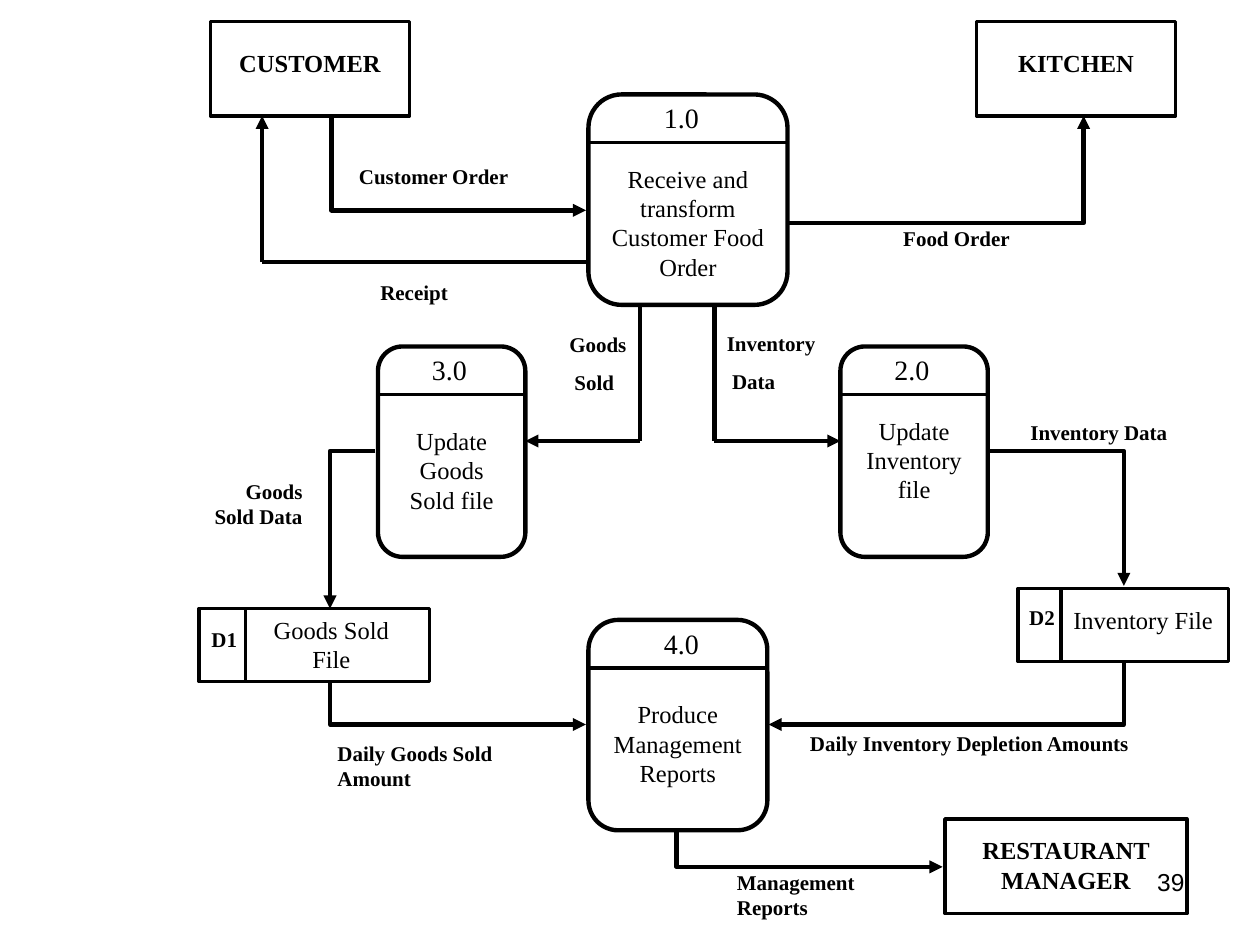
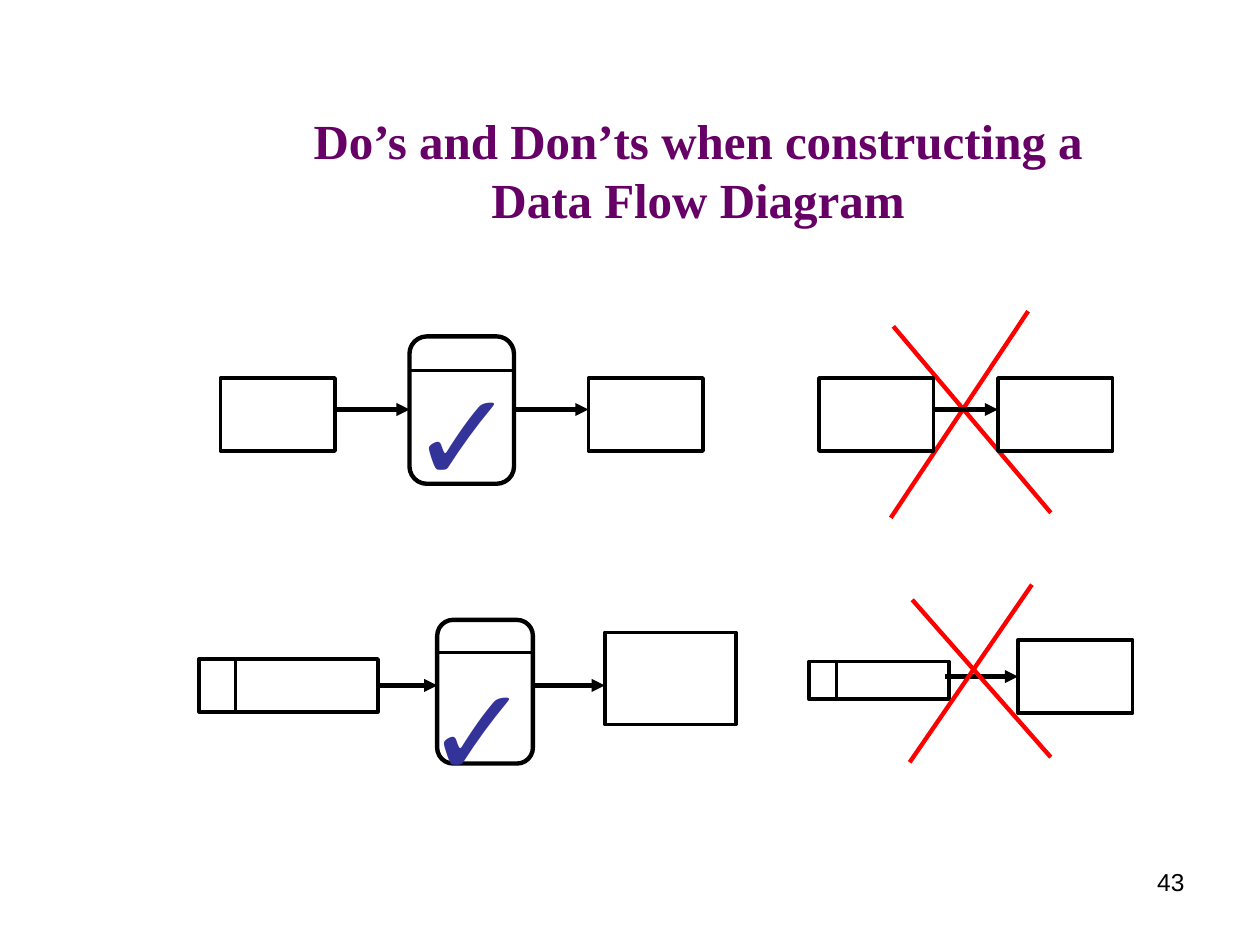
from lxml import etree
from pptx import Presentation
from pptx import util as u
from pptx.dml.color import RGBColor
from pptx.enum import shapes, text
from pptx.oxml.ns import qn

BLACK = RGBColor(0x00, 0x00, 0x00)
WHITE = RGBColor(0xFF, 0xFF, 0xFF)
RED = RGBColor(0xFF, 0x00, 0x00)
PURPLE = RGBColor(0x66, 0x00, 0x66)
INDIGO = RGBColor(0x33, 0x33, 0x99)

SERIF, SANS = "Times New Roman", "Arial"
THIN, THICK = 2, 2.5
LEFT, CENTER, RIGHT = text.PP_ALIGN.LEFT, text.PP_ALIGN.CENTER, text.PP_ALIGN.RIGHT
KIND = shapes.MSO_SHAPE


def cm(inches):
    return u.Cm(inches * 2.54)


class Diagram:
    """Draws data flow elements on the current slide; places are in inches."""

    def __init__(self):
        self.deck = Presentation()
        self.deck.slide_width, self.deck.slide_height = cm(10), cm(7.5)
        self.page = None

    def new_page(self, number):
        self.page = self.deck.slides.add_slide(self.deck.slide_layouts[6])
        self.number = number

    def finish_page(self):
        self.caption(7.17, 6.83, 2.33, 0.52, self.number, 14, align=RIGHT,
                     font=SANS, before=0, grow=False)

    # Text
    def caption(self, left, top, width, height, lines, size, bold=False, align=LEFT,
                font=SERIF, color=BLACK, before=None, grow=True, anchor=text.MSO_ANCHOR.TOP):
        box = self.page.shapes.add_textbox(cm(left), cm(top), cm(width), cm(height))
        frame = box.text_frame
        frame.word_wrap = True
        frame.vertical_anchor = anchor
        frame.auto_size = (text.MSO_AUTO_SIZE.SHAPE_TO_FIT_TEXT if grow
                           else text.MSO_AUTO_SIZE.NONE)
        for index, line in enumerate(lines.split("\n")):
            para = frame.add_paragraph() if index else frame.paragraphs[0]
            para.alignment = align
            para.space_before = u.Pt(size * 0.625 if before is None else before)
            span = para.add_run()
            span.text = line
            span.font.name, span.font.size = font, u.Pt(size)
            span.font.bold, span.font.color.rgb = bold, color

    def label(self, left, top, width, lines, height=0.3, align=LEFT):
        self.caption(left, top, width, height, lines, 12, bold=True, align=align)

    def title(self, line):
        self.caption(2, 0.83, 7.08, 1.04, line, 28, bold=True, align=CENTER, color=PURPLE)

    def check(self, left, top, width):
        self.caption(left, top, width, 1.3, "✓", 72, font=SANS, color=INDIGO,
                     before=0, anchor=text.MSO_ANCHOR.MIDDLE)

    # Outlined shapes
    def outline(self, kind, left, top, width, height, weight=THIN):
        shape = self.page.shapes.add_shape(kind, cm(left), cm(top), cm(width), cm(height))
        shape.shadow.inherit = False
        shape.fill.solid()
        shape.fill.fore_color.rgb = WHITE
        shape.line.color.rgb = BLACK
        shape.line.width = u.Pt(weight)

    def entity(self, left, top, width=0.91, height=0.58):
        self.outline(KIND.RECTANGLE, left, top, width, height)

    def named_entity(self, left, top, width, name, inset_x, inset_y, name_height):
        self.entity(left, top, width, 0.75)
        self.caption(left + inset_x, top + inset_y, width - 2 * inset_x, name_height,
                     name, 14, bold=True, align=CENTER)

    def process(self, left, top, width, height, header):
        self.outline(KIND.FLOWCHART_ALTERNATE_PROCESS, left, top, width, height, THICK)
        self.line((left, top + header), (left + width, top + header), weight=THIN)

    def named_process(self, left, top, width, number, number_x, name,
                      name_y, name_inset=0.08, name_height=0.8):
        self.process(left, top, width, 1.67, 0.38)
        self.caption(left + number_x, top, 0.58, 0.37, number, 16)
        self.caption(left + name_inset, top + name_y, width - 2 * name_inset, name_height,
                     name, 14, align=CENTER)

    def store(self, left, top, width, height, divider):
        self.outline(KIND.FLOWCHART_PROCESS, left, top, width, height)
        self.line((left + divider, top), (left + divider, top + height), weight=THIN)

    # Lines and arrows
    def line(self, start, end, weight=THICK, color=BLACK, arrow=False,
             kind=shapes.MSO_CONNECTOR.STRAIGHT):
        link = self.page.shapes.add_connector(kind, *map(cm, (*start, *end)))
        link.line.color.rgb = color
        link.line.width = u.Pt(weight)
        properties = link._element.spPr
        if arrow:
            etree.SubElement(properties.find(qn("a:ln")), qn("a:tailEnd"), type="triangle")
        etree.SubElement(properties, qn("a:effectLst"))
        return link

    def arrow(self, start, end):
        self.line(start, end, arrow=True)

    def corner(self, start, end, down_first=False):
        """Arrow with one right angle, sideways first unless down_first."""
        (x1, y1), (x2, y2) = start, end
        if down_first:
            # The frame is turned a quarter about its centre
            wide, high = y2 - y1, abs(x2 - x1)
            left, top = (x1 + x2 - wide) / 2, (y1 + y2 - high) / 2
            start, end = (left, top), (left + wide, top + high)
        link = self.line(start, end, arrow=True, kind=shapes.MSO_CONNECTOR.ELBOW)
        properties = link._element.spPr
        properties.find(qn("a:prstGeom")).set("prst", "bentConnector2")
        if down_first:
            frame = properties.find(qn("a:xfrm"))
            frame.set("rot", "16200000" if x2 > x1 else "5400000")
            if x2 > x1:
                frame.set("flipH", "1")

    def cross(self, falling, rising):
        for ends in (falling, rising):
            self.line(*ends, color=RED)


def restaurant_page(diagram):
    diagram.new_page("39")

    # Processes
    diagram.named_process(4.67, 0.75, 1.58, "1.0", 0.5,
                          "Receive and transform Customer Food Order", 0.5, 0, 1.04)
    diagram.named_process(6.67, 2.75, 1.17, "2.0", 0.33, "Update Inventory file", 0.5)
    diagram.named_process(3, 2.75, 1.17, "3.0", 0.33, "Update Goods Sold file", 0.58)
    diagram.named_process(4.67, 4.92, 1.42, "4.0", 0.5, "Produce Management Reports", 0.58)

    # External entities
    diagram.named_entity(7.5, 6.5, 1.92, "RESTAURANT MANAGER", 0.13, 0.08, 0.57)
    diagram.named_entity(1.67, 0.17, 1.58, "CUSTOMER", 0.08, 0.16, 0.34)
    diagram.named_entity(7.75, 0.17, 1.58, "KITCHEN", 0.08, 0.16, 0.34)

    # Data stores
    diagram.store(1.58, 4.83, 1.83, 0.58, 0.37)
    diagram.caption(1.92, 4.83, 1.42, 0.57, "Goods Sold File", 14, align=CENTER)
    diagram.label(1.58, 4.92, 0.43, "D1")
    diagram.store(8.08, 4.67, 1.67, 0.58, 0.34)
    diagram.label(8.07, 4.75, 0.43, "D2")
    diagram.caption(8.42, 4.75, 1.33, 0.34, "Inventory File", 14)

    # Flows with one turn
    diagram.corner((6.25, 1.77), (8.6, 0.92))
    diagram.corner((2.98, 3.58), (2.62, 4.83))
    diagram.corner((7.85, 3.58), (8.92, 4.65))
    for start, end in (((2.63, 0.93), (4.65, 1.67)), ((5.37, 6.6), (7.48, 6.88)),
                       ((2.62, 5.4), (4.65, 5.75)), ((8.92, 5.26), (6.1, 5.75))):
        diagram.corner(start, end, down_first=True)

    # Flows drawn as two straight legs
    for start, turn, end in (((4.67, 2.08), (2.08, 2.08), (2.08, 0.92)),
                             ((5.08, 2.42), (5.08, 3.5), (4.17, 3.5)),
                             ((5.67, 2.42), (5.67, 3.5), (6.67, 3.5))):
        diagram.line(start, turn)
        diagram.arrow(turn, end)

    # Flow names
    diagram.label(7.07, 1.74, 1.25, "Food Order")
    diagram.label(2.75, 1.25, 1.58, "Customer Order")
    diagram.label(2.92, 2.17, 0.92, "Receipt")
    diagram.label(5.75, 6.85, 1.25, "Management Reports", 0.5)
    diagram.label(4.42, 2.58, 0.83, "Goods\n Sold", 0.61)
    diagram.label(5.67, 2.57, 1.08, "Inventory\n Data", 0.61)
    diagram.label(1.58, 3.75, 0.92, "Goods Sold Data", 0.5, RIGHT)
    diagram.label(8.08, 3.28, 1.33, "Inventory Data")
    diagram.label(2.58, 5.83, 2, "Daily Goods Sold Amount", 0.5)
    diagram.label(6.33, 5.75, 3.17, "Daily Inventory Depletion Amounts")
    diagram.finish_page()


def rules_page(diagram):
    diagram.new_page("43")
    diagram.title("Do’s and Don’ts when constructing a Data Flow Diagram")

    # Wrong: store straight to entity
    diagram.store(6.42, 5.25, 1.11, 0.3, 0.22)
    diagram.entity(8.08, 5.08)
    diagram.arrow((7.5, 5.37), (8.08, 5.37))
    diagram.cross(((7.24, 4.76), (8.34, 6.01)), ((8.19, 4.64), (7.22, 6.05)))

    # Wrong: entity straight to entity
    diagram.cross(((7.09, 2.59), (8.34, 4.07)), ((8.16, 2.47), (7.07, 4.11)))
    diagram.entity(6.5, 3)
    diagram.entity(7.92, 3)
    diagram.arrow((7.42, 3.25), (7.92, 3.25))

    # Right: store to entity through a process
    diagram.store(1.58, 5.23, 1.42, 0.42, 0.29)
    diagram.process(3.47, 4.92, 0.76, 1.14, 0.26)
    diagram.arrow((3, 5.44), (3.47, 5.44))
    diagram.arrow((4.23, 5.44), (4.8, 5.44))
    diagram.entity(4.8, 5.02, 1.04, 0.73)
    diagram.check(3.28, 5.12, 0.85)

    # Right: entity to entity through a process
    diagram.process(3.25, 2.67, 0.83, 1.17, 0.27)
    diagram.arrow((2.67, 3.25), (3.25, 3.25))
    diagram.arrow((4.08, 3.25), (4.67, 3.25))
    diagram.entity(4.67, 3)
    diagram.entity(1.75, 3)
    diagram.check(3.16, 2.78, 0.75)
    diagram.finish_page()


def main():
    diagram = Diagram()
    restaurant_page(diagram)
    rules_page(diagram)
    diagram.deck.save("out.pptx")


if __name__ == "__main__":
    main()
